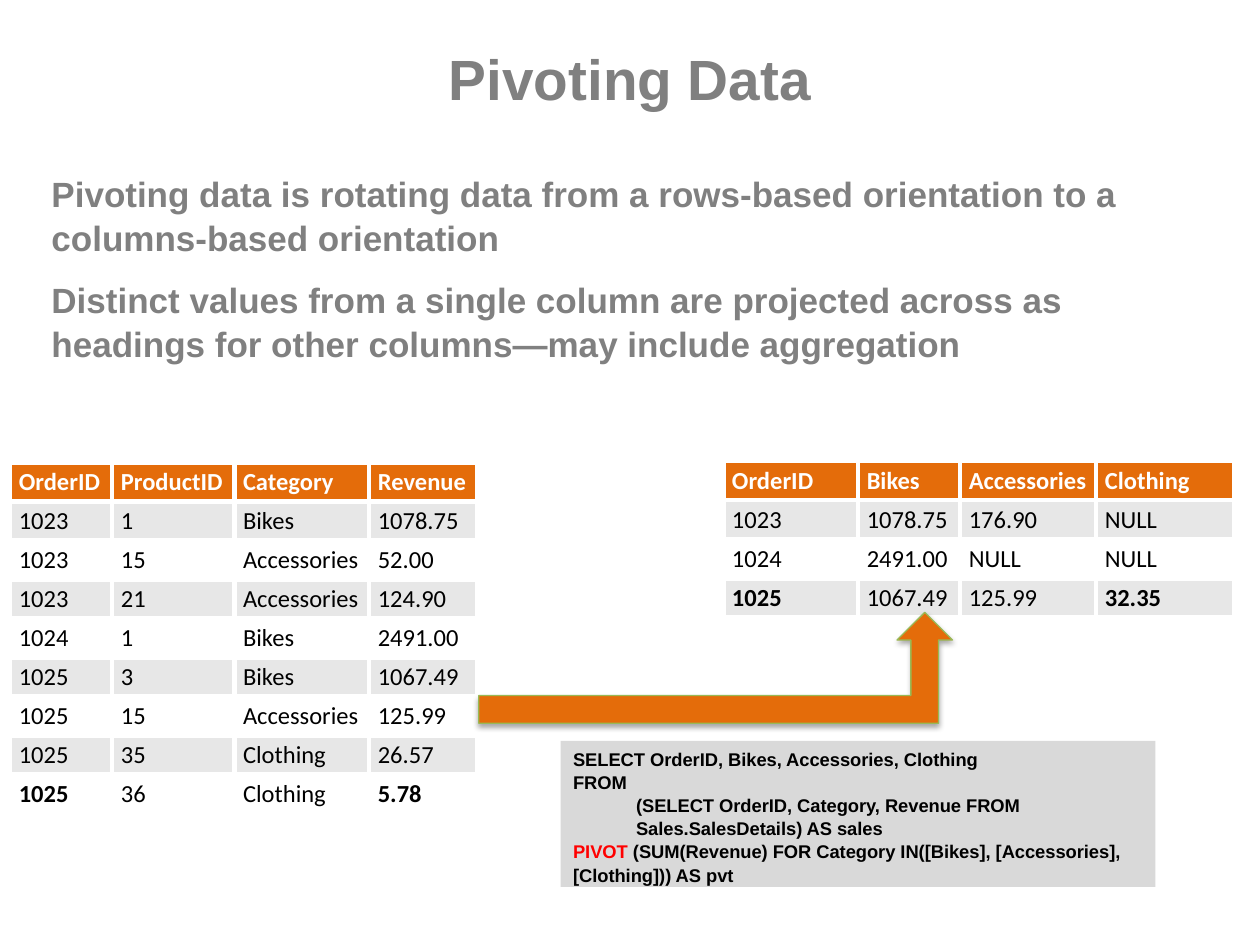
from dataclasses import dataclass

from lxml.etree import SubElement
from pptx import Presentation
from pptx.dml.color import RGBColor
from pptx.enum.shapes import MSO_SHAPE
from pptx.enum.text import MSO_ANCHOR, PP_ALIGN
from pptx.oxml.ns import qn
from pptx.util import Inches, Pt


@dataclass(frozen=True)
class Theme:
    heading_font: str = "Arial"
    table_font: str = "Calibri"
    title_size: float = 32.4
    body_size: float = 20
    table_size: float = 14
    code_size: float = 10.5
    grey: str = "808080"
    orange: str = "E46C0A"
    band: str = "E7E7E7"
    white: str = "FFFFFF"
    black: str = "000000"
    red: str = "FF0000"
    green: str = "98B955"
    code_fill: str = "D9D9D9"


THEME = Theme()
ROW_HEIGHT = 0.31

POINTS = [
    "Pivoting data is rotating data from a rows-based orientation to a "
    "columns-based orientation",
    "Distinct values from a single column are projected across as headings "
    "for other columns—may include aggregation",
]

SALES = [
    ("OrderID", "ProductID", "Category", "Revenue"),
    ("1023", "1", "Bikes", "1078.75"),
    ("1023", "15", "Accessories", "52.00"),
    ("1023", "21", "Accessories", "124.90"),
    ("1024", "1", "Bikes", "2491.00"),
    ("1025", "3", "Bikes", "1067.49"),
    ("1025", "15", "Accessories", "125.99"),
    ("1025", "35", "Clothing", "26.57"),
    ("1025", "36", "Clothing", "5.78"),
]

PIVOTED = [
    ("OrderID", "Bikes", "Accessories", "Clothing"),
    ("1023", "1078.75", "176.90", "NULL"),
    ("1024", "2491.00", "NULL", "NULL"),
    ("1025", "1067.49", "125.99", "32.35"),
]

QUERY = [
    "SELECT OrderID, Bikes, Accessories, Clothing",
    "FROM",
    "(SELECT OrderID, Category, Revenue FROM Sales.SalesDetails) AS sales",
]
PIVOT_CLAUSE = (
    "PIVOT",
    " (SUM(Revenue) FOR Category IN([Bikes], [Accessories], [Clothing])) AS pvt",
)


def rgb(code):
    return RGBColor.from_string(code)


def set_font(target, name, size, color, bold=True):
    font = target.font
    font.name, font.size, font.bold = name, Pt(size), bold
    font.color.rgb = rgb(color)


def fill_with(part, color):
    part.fill.solid()
    part.fill.fore_color.rgb = rgb(color)


def add_heading(slide, box, lines, size, align, anchor):
    frame = slide.shapes.add_textbox(*map(Inches, box)).text_frame
    frame.word_wrap = True
    frame.vertical_anchor = anchor
    frame.text = "\n".join(lines)
    for index, paragraph in enumerate(frame.paragraphs):
        paragraph.alignment = align
        paragraph.line_spacing = 1.04
        if index:
            paragraph.space_before = Pt(10.5)
        set_font(paragraph.runs[0], THEME.heading_font, size, THEME.grey)


def add_borders(cell):
    """Draw white 3 pt lines on all sides, ahead of the cell's fill."""
    properties = cell._tc.get_or_add_tcPr()
    for position, side in enumerate(("lnL", "lnR", "lnT", "lnB")):
        line = SubElement(properties, qn(f"a:{side}"), w=str(Pt(3)))
        properties.insert(position, line)
        paint = SubElement(line, qn("a:solidFill"))
        SubElement(paint, qn("a:srgbClr"), val=THEME.white)


def add_orders(slide, left, top, widths, records):
    """Add a banded table with the outer cells of its last row in bold."""
    last_row, last_column = len(records) - 1, len(widths) - 1
    table = slide.shapes.add_table(
        len(records), len(widths), Inches(left), Inches(top),
        Inches(sum(widths)), Inches(ROW_HEIGHT * len(records)),
    ).table
    for column, width in zip(table.columns, widths):
        column.width = Inches(width)
    for r, record in enumerate(records):
        header = r == 0
        fill = THEME.orange if header else THEME.band if r % 2 else THEME.white
        color = THEME.white if header else THEME.black
        for c, value in enumerate(record):
            cell = table.cell(r, c)
            cell.margin_left = cell.margin_right = Pt(5)
            cell.margin_top = cell.margin_bottom = Pt(2.7)
            cell.text_frame.text = value
            bold = header or (r == last_row and c in (0, last_column))
            set_font(cell.text_frame.paragraphs[0].runs[0],
                     THEME.table_font, THEME.table_size, color, bold)
            fill_with(cell, fill)
            add_borders(cell)


def add_shadow(shape):
    effects = SubElement(shape._element.spPr, qn("a:effectLst"))
    shadow = SubElement(effects, qn("a:outerShdw"), blurRad=str(Pt(3.1)),
                        dist=str(Pt(1.8)), dir="5400000", rotWithShape="0")
    color = SubElement(shadow, qn("a:srgbClr"), val=THEME.black)
    SubElement(color, qn("a:alpha"), val="35000")


def add_pivot_arrow(slide, box):
    arrow = slide.shapes.add_shape(MSO_SHAPE.BENT_UP_ARROW, *map(Inches, box))
    fill_with(arrow, THEME.orange)
    arrow.line.color.rgb = rgb(THEME.green)
    arrow.line.width = Pt(0.75)
    add_shadow(arrow)


def add_query(slide, box):
    panel = slide.shapes.add_shape(MSO_SHAPE.RECTANGLE, *map(Inches, box))
    panel.shadow.inherit = False
    fill_with(panel, THEME.code_fill)
    panel.line.fill.background()
    frame = panel.text_frame
    frame.word_wrap = True
    frame.vertical_anchor = MSO_ANCHOR.TOP
    keyword, clause = PIVOT_CLAUSE
    frame.text = "\n".join([*QUERY, keyword])
    pivot_line = frame.paragraphs[-1]
    pivot_line.add_run().text = clause
    for paragraph in frame.paragraphs:
        paragraph.alignment = PP_ALIGN.LEFT
        paragraph.line_spacing = 1.05
        for run in paragraph.runs:
            set_font(run, THEME.heading_font, THEME.code_size, THEME.black)
    pivot_line.runs[0].font.color.rgb = rgb(THEME.red)
    subquery = frame.paragraphs[2]
    subquery.level = 1
    subquery._p.get_or_add_pPr().set("marL", str(Inches(0.5)))


def main():
    deck = Presentation()
    deck.slide_width, deck.slide_height = Inches(10), Inches(7.5)
    slide = deck.slides.add_slide(deck.slide_layouts[6])
    add_heading(slide, (0.5, 0.3, 9, 0.61), ["Pivoting Data"],
                THEME.title_size, PP_ALIGN.CENTER, MSO_ANCHOR.MIDDLE)
    add_heading(slide, (0.31, 1.31, 9.45, 1.81), POINTS,
                THEME.body_size, PP_ALIGN.LEFT, MSO_ANCHOR.TOP)
    add_orders(slide, 0.08, 3.67, (0.81, 0.97, 1.07, 0.86), SALES)
    add_orders(slide, 5.74, 3.66, (1.07, 0.81, 1.08, 1.1), PIVOTED)
    add_pivot_arrow(slide, (3.8, 4.86, 3.76, 0.88))
    add_query(slide, (4.45, 5.88, 4.72, 1.16))
    deck.save("out.pptx")


if __name__ == "__main__":
    main()
